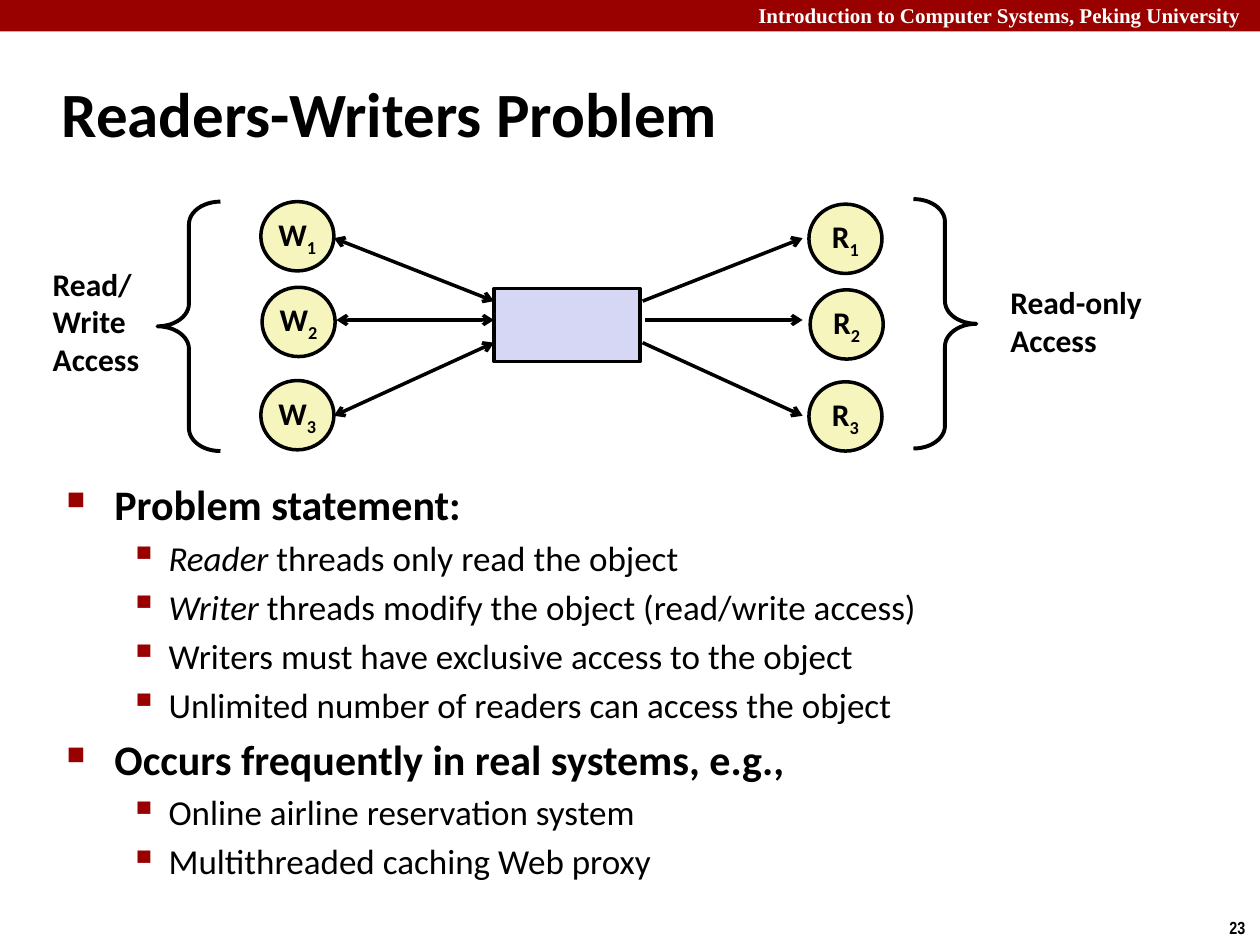
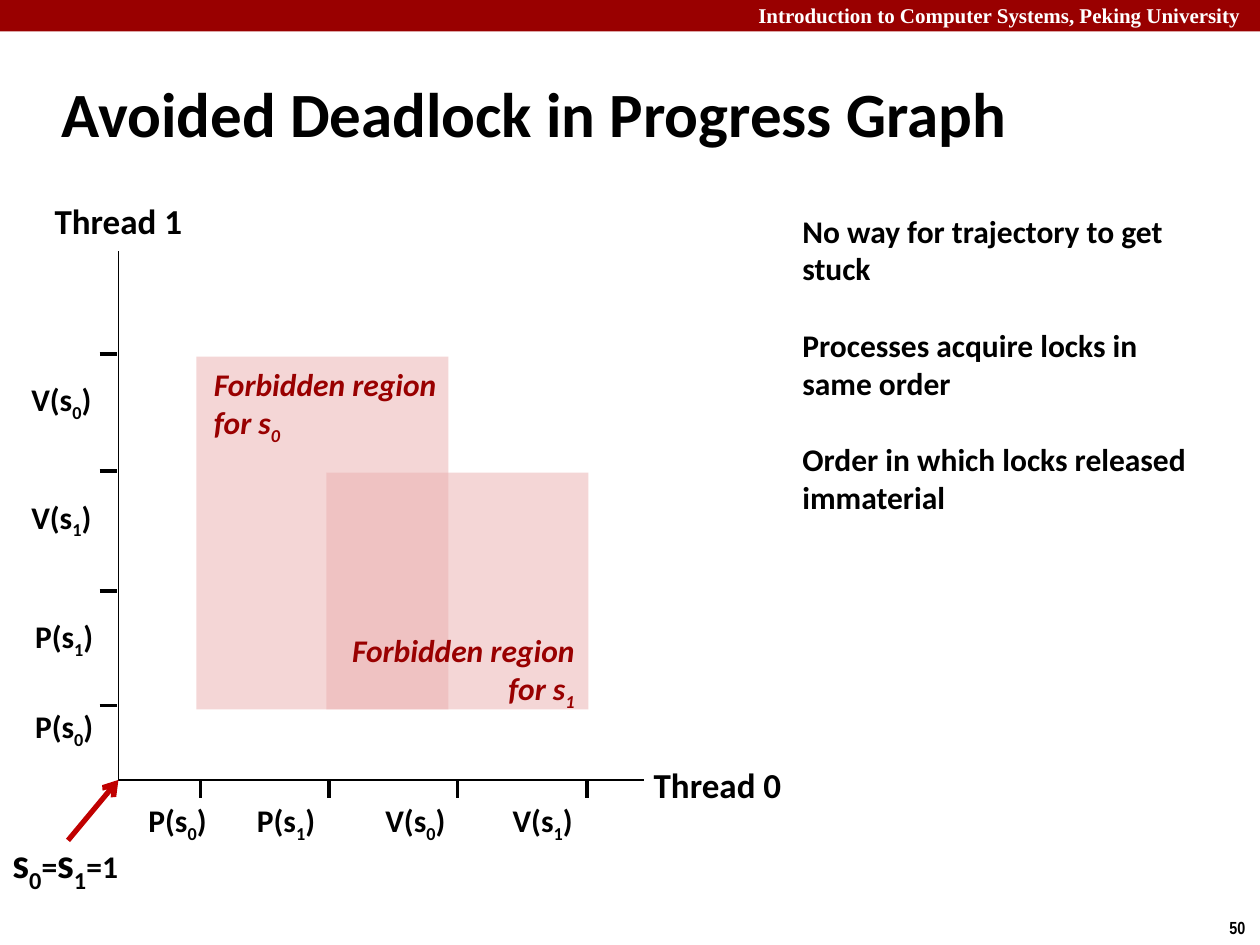
import pptx
import pptx.util
import pptx.dml.color
import pptx.enum.shapes
import pptx.enum.text
import pptx.oxml.ns
import lxml.etree

PX = 9144  # 100 px to the inch
HUES = {"black": "000000", "white": "FFFFFF", "red": "990000", "arrow": "C00000",
        "zone": "EBAFAF", "box": "D6D6F5", "node": "F6F5BD"}
Pt = pptx.util.Pt
qn = pptx.oxml.ns.qn
KIND = pptx.enum.shapes.MSO_SHAPE
ALIGN = pptx.enum.text.PP_ALIGN
MIDDLE = pptx.enum.text.MSO_ANCHOR.MIDDLE


def put(slide, kind, box, fill=None, edge=0):
    """Add a preset shape, or a text box when kind is None."""
    left, top, width, height = (n * PX for n in box)
    if kind is None:
        return slide.shapes.add_textbox(left, top, width, height)
    shape = slide.shapes.add_shape(kind, left, top, width, height)
    shape.shadow.inherit = False
    if fill:
        shape.fill.solid()
        shape.fill.fore_color.rgb = pptx.dml.color.RGBColor.from_string(HUES[fill])
    else:
        shape.fill.background()
    if edge:
        shape.line.width = Pt(edge)
        shape.line.color.rgb = pptx.dml.color.RGBColor.from_string(HUES["black"])
    else:
        shape.line.fill.background()
    return shape


def write(shape, paras, size=18, hue="black", face="Calibri", bold=True, slant=False,
          align=ALIGN.LEFT, mid=False, wrap=False, inset=5, gap=0):
    """Fill a shape with lists of runs; a leading _ lowers a run, a leading * slants it."""
    frame = shape.text_frame
    frame.word_wrap = wrap
    frame.margin_top = frame.margin_bottom = inset * PX
    frame.margin_left = frame.margin_right = 10 * PX
    frame.vertical_anchor = MIDDLE if mid else pptx.enum.text.MSO_ANCHOR.TOP
    for i, runs in enumerate(paras):
        para = frame.add_paragraph() if i else frame.paragraphs[0]
        para.alignment = align
        if i and gap:
            para.space_before = Pt(gap)
        for words in runs:
            run = para.add_run()
            run.text = words.lstrip("_*")
            font = run.font
            font.name, font.size, font.bold = face, Pt(size), bold
            font.italic = slant or words.startswith("*")
            font.color.rgb = pptx.dml.color.RGBColor.from_string(HUES[hue])
            if words.startswith("_"):
                run._r.get_or_add_rPr().set("baseline", "-25000")


deck = pptx.Presentation()
deck.slide_width, deck.slide_height = 1000 * PX, 750 * PX

# Band, header, page number and title
pages = []
for title, number in (("Readers-Writers Problem", "23"),
                      ("Avoided Deadlock in Progress Graph", "50")):
    page = deck.slides.add_slide(deck.slide_layouts[6])
    put(page, KIND.RECTANGLE, (0, 0, 1000, 25), "red")
    write(put(page, None, (592, -3, 408, 30)),
          [["Introduction to Computer Systems, Peking University"]],
          12, "white", "Times New Roman", wrap=True)
    write(put(page, None, (966, 723, 34, 27)), [[number]], 10, face="Arial Narrow")
    write(put(page, None, (39, 48, 830, 83)), [[title]], 36, mid=True, wrap=True)
    pages.append(page)
share, graph = pages

# Readers and writers around the shared object
put(share, KIND.RECTANGLE, (392, 229, 116, 58), "box", 2)
nodes = (("W", ((207, 160), (208, 228), (207, 302))),
         ("R", ((642, 162), (643, 230), (642, 303))))
for role, spots in nodes:
    for i, (left, top) in enumerate(spots, 1):
        node = put(share, KIND.OVAL, (left, top, 58, 55), "node", 2)
        write(node, [[role, f"_{i}"]], align=ALIGN.CENTER, mid=True, inset=0)
for kind, left, top in ((KIND.LEFT_BRACE, 125, 160), (KIND.RIGHT_BRACE, 725, 158)):
    brace = put(share, kind, (left, top, 50, 198), edge=2.25)
    brace.adjustments[0] = 0.36
write(put(share, None, (32, 205, 89, 101)), [["Read/"], ["Write"], ["Access"]])
write(put(share, None, (792, 220, 127, 71)), [["Read-only"], ["Access"]])

# Bulleted statement: level, runs
points = (
    (0, ["Problem statement:"]),
    (1, ["*Reader", " threads only read the object"]),
    (1, ["*Writer", " threads modify the object (read/write access)"]),
    (1, ["Writers must have exclusive access to the object"]),
    (1, ["Unlimited number of readers can access the object"]),
    (0, ["Occurs frequently in real systems, e.g.,"]),
    (1, ["Online airline reservation system"]),
    (1, ["Multithreaded caching Web proxy"]),
)
# Per level: left margin, hanging indent, bullet, bullet percent, text size
ranks = ((38, 38, "■", 60, 24), (81, 31, "▪", 110, 20))
body = put(share, None, (43, 375, 864, 318))
write(body, [runs for _, runs in points], bold=False, wrap=True)
for i, (para, (level, _)) in enumerate(zip(body.text_frame.paragraphs, points)):
    margin, hang, mark, scale, size = ranks[level]
    para.level = level
    if i:
        para.space_before = Pt(size / 5)
    props = para._p.get_or_add_pPr()
    props.set("marL", str(margin * PX))
    props.set("indent", str(-hang * PX))
    tint = lxml.etree.SubElement(props, qn("a:buClr"))
    lxml.etree.SubElement(tint, qn("a:srgbClr"), val=HUES["red"])
    lxml.etree.SubElement(props, qn("a:buSzPct"), val=str(scale * 1000))
    lxml.etree.SubElement(props, qn("a:buChar"), char=mark)
    for run in para.runs:
        run.font.size = Pt(size)
        run.font.bold = level == 0

# Lines: slide, start, end, colour, width, arrow at start, arrow at end
lines = []
for near, far, y, edge in ((265, 392, 189, 239), (267, 392, 254, 254), (265, 392, 330, 272)):
    lines.append((share, (near, y), (far, edge), "black", 2, True, True))
for near, y, edge in ((510, 189, 239), (512, 254, 254), (510, 330, 272)):
    lines.append((share, (near, edge), (637, y), "black", 2, False, True))

# Progress graph: axes, ticks and their labels
zero = (94, 619)
for end in ((511, 619), (94, 199)):
    lines.append((graph, zero, end, "black", 1, False, False))
for box, name in (((508, 601, 123, 44), "Thread 0"), ((33, 153, 122, 44), "Thread 1")):
    write(put(graph, None, box), [[name]], 20, align=ALIGN.CENTER, mid=True)
across = ((159, 108, "P", 0), (261, 194, "P", 1), (363, 296, "V", 0), (466, 397, "V", 1))
for tick, left, call, lock in across:
    lines.append((graph, (tick, 619), (tick, 633), "black", 2, False, False))
    write(put(graph, None, (left, 633, 69, 40)), [[f"{call}(s", f"_{lock}", ")"]], mid=True)
upward = ((560, 558, "P", 0), (469, 487, "P", 1), (374, 392, "V", 1), (281, 299, "V", 0))
for tick, top, call, lock in upward:
    lines.append((graph, (79, tick), (93, tick), "black", 2, False, False))
    left = 18 if call == "P" else 15
    write(put(graph, None, (left, top, 69, 40)), [[f"{call}(s", f"_{lock}", ")"]], mid=True)

# Forbidden regions
for box in ((156, 283, 200, 280), (259, 375, 208, 188)):
    zone = put(graph, KIND.RECTANGLE, box, "zone")
    tint = zone._element.spPr.find(qn("a:solidFill"))[0]
    lxml.etree.SubElement(tint, qn("a:alpha"), val="50000")
for lock, box, side in ((0, (160, 285, 206, 71), ALIGN.LEFT),
                        (1, (261, 496, 205, 71), ALIGN.RIGHT)):
    write(put(graph, None, box), [["Forbidden region"], ["for s", f"_{lock}"]],
          hue="red", slant=True, align=side)

# Starting values and remarks
start = put(graph, None, (0, 667, 108, 40))
write(start, [["s", "_0", "=", "s", "_1", "=1"]], 24, mid=True, inset=0)
for run in start.text_frame.paragraphs[0].runs:
    if "=" in run.text:
        run.font.size = Pt(18)
lines.append((graph, (54, 667), zero, "arrow", 3, False, True))
write(put(graph, None, (627, 168, 340, 240)),
      [["No way for trajectory to get stuck"],
       ["Processes acquire locks in same order"],
       ["Order in which locks released immaterial"]], wrap=True, inset=0, gap=22)

for page, here, there, hue, width, head, tail in lines:
    line = page.shapes.add_connector(pptx.enum.shapes.MSO_CONNECTOR.STRAIGHT,
                                     *(n * PX for n in here + there))
    line.line.width = Pt(width)
    line.line.color.rgb = pptx.dml.color.RGBColor.from_string(HUES[hue])
    props = line._element.spPr
    for tag, shown in (("a:headEnd", head), ("a:tailEnd", tail)):
        if shown:
            lxml.etree.SubElement(props.find(qn("a:ln")), qn(tag), type="arrow")
    lxml.etree.SubElement(props, qn("a:effectLst"))

deck.save("out.pptx")
